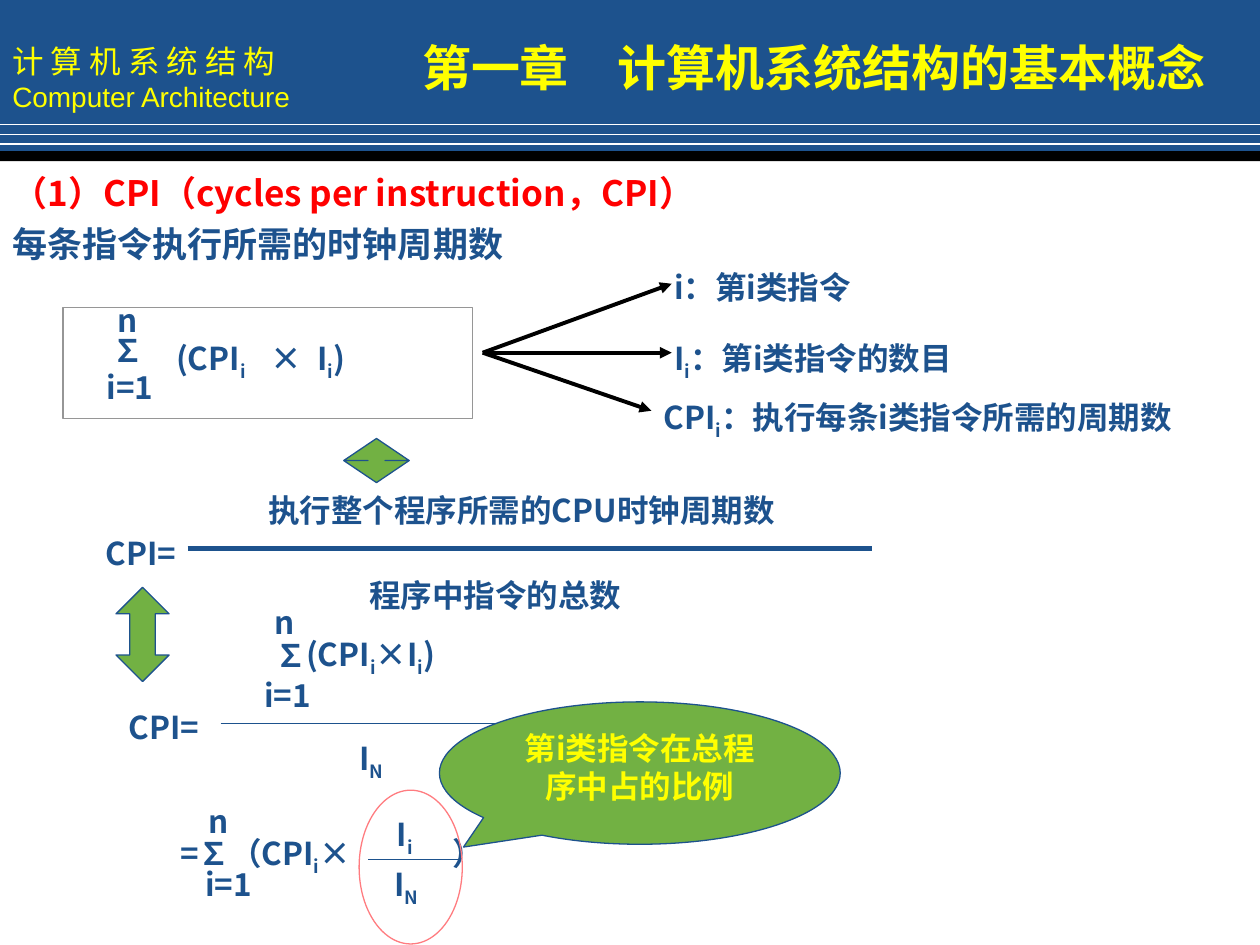
import pptx
import pptx.util
import pptx.dml.color
import pptx.enum.shapes
import pptx.enum.text
import pptx.oxml.ns
import lxml.etree

Cm = pptx.util.Cm
Pt = pptx.util.Pt
Kind = pptx.enum.shapes.MSO_SHAPE
Side = pptx.enum.text.PP_ALIGN
Hold = pptx.enum.text.MSO_ANCHOR

THEME = {
    "blue": "1D528D", "green": "72B143", "yellow": "FFFF00", "red": "FF0000",
    "white": "FFFFFF", "black": "000000", "gray": "969696", "pink": "FF7C80",
    "font": "Noto Sans CJK SC", "latin": "Arial",
    "title": 28, "head": 20, "body": 18, "small": 16,
}

BRAND = ["计 算 机 系 统 结 构", "Computer Architecture"]
TITLE = "第一章　计算机系统结构的基本概念"
HEAD = [("（1）CPI（cycles per instruction，CPI）", "red"),
        ("每条指令执行所需的时钟周期数", "blue")]
NOTE = "第i类指令在总程序中占的比例"

TERMS = [
    ("CPI=", 1.88, 10.64, 4.5),
    ("执行整个程序所需的CPU时钟周期数", 5.16, 9.78, 11.56),
    ("程序中指令的总数", 7.19, 11.48, 6.55),
    ("CPI=", 2.34, 14.15, 2.54),
    ("I_N", 6.99, 14.78, 1.4),
    ("n", 5.28, 12.04, 1),
    ("∑", 5.31, 12.7, 1),
    ("i=1", 5.08, 13.51, 2.34),
    ("(CPI_i×I_i)", 5.92, 12.67, 5.51),
    ("i：第i类指令", 13.34, 5.28, 7.42),
    ("I_i：第i类指令的数目", 13.34, 6.71, 9.09),
    ("CPI_i：执行每条i类指令所需的周期数", 13.13, 7.9, 11.6),
    ("×", 5.21, 6.71, 1.32),
    ("(CPI_i", 3.3, 6.71, 3.1),
    ("I_i)", 6.15, 6.71, 3.05),
    ("n", 2.11, 5.94, 1.07),
    ("∑", 2.01, 6.55, 1),
    ("i=1", 1.9, 7.29, 2.34),
    ("=∑（CPI_i×", 3.38, 16.69, 5),
    ("）", 8.87, 16.69, 1.3),
    ("n", 3.96, 16.05, 1),
    ("i=1", 3.89, 17.32, 1.83),
    ("I_i", 7.75, 16.31, 1.37),
    ("I_N", 7.7, 17.32, 1.83),
]
BARS = [(3.78, 17.58, 11.05, 3), (4.45, 11.43, 14.58, 0.75),
        (7.42, 9.25, 17.32, 0.75)]
FORK = (9.73, 7.11)
TIPS = [(13.54, 7.11), (13.13, 8.28), (13.54, 5.72)]
RULES = [2.51 + 0.2 * n for n in range(3)]
SHAPES = [
    (Kind.UP_DOWN_ARROW, (6.93, 8.84, 1.32, 0.89), "green", "blue", (0.5, 0.26)),
    (Kind.UP_DOWN_ARROW, (2.34, 11.84, 1.07, 1.9), "green", "blue", (0.5, 0.48)),
    (Kind.RECTANGLE, (1.27, 6.2, 8.26, 2.24), None, "gray", ()),
    (Kind.OVAL, (7.24, 15.93, 2.08, 3.1), None, "pink", ()),
]

deck = pptx.Presentation()
deck.slide_width, deck.slide_height = Cm(25.4), Cm(19.05)
page = deck.slides.add_slide(deck.slide_layouts[6])


def tint(name):
    return pptx.dml.color.RGBColor.from_string(THEME[name])


def write(frame, text, fresh=False, size="body", color="blue", face="font",
          bold=True, align=Side.LEFT, gap=0):
    para = frame.add_paragraph() if fresh else frame.paragraphs[0]
    para.alignment, para.space_before = align, Pt(gap)
    frame.word_wrap = True
    first, *rest = text.split("_")
    parts = [(first, False)]
    for bit in rest:
        parts += [(bit[0], True), (bit[1:], False)]
    for words, low in parts:
        if not words:
            continue
        run = para.add_run()
        run.text = words
        font = run.font
        font.name, font.size, font.bold = THEME[face], Pt(THEME[size]), bold
        font.color.rgb = tint(color)
        props = font._element
        east = lxml.etree.SubElement(props, pptx.oxml.ns.qn("a:ea"))
        east.set("typeface", THEME["font"])
        if low:
            props.set("baseline", "-25000")


def box(left, top, width, high=1.02):
    return page.shapes.add_textbox(Cm(left), Cm(top), Cm(width), Cm(high)).text_frame


def shape(kind, place, fill=None, edge=None, tune=()):
    item = page.shapes.add_shape(kind, *map(Cm, place))
    item.shadow.inherit = False
    for n, value in enumerate(tune):
        item.adjustments[n] = value
    if fill:
        item.fill.solid()
        item.fill.fore_color.rgb = tint(fill)
    else:
        item.fill.background()
    if edge:
        item.line.color.rgb = tint(edge)
        item.line.width = Pt(0.75)
    else:
        item.line.fill.background()
    return item


def line(start, end, color, width, tip=False):
    link = page.shapes.add_connector(
        pptx.enum.shapes.MSO_CONNECTOR.STRAIGHT, *map(Cm, start + end))
    link.line.color.rgb = tint(color)
    link.line.width = Pt(width)
    if tip:
        tail = lxml.etree.SubElement(link.line._get_or_add_ln(),
                                     pptx.oxml.ns.qn("a:tailEnd"))
        tail.set("type", "triangle")
    lxml.etree.SubElement(link._element.spPr, pptx.oxml.ns.qn("a:effectLst"))


band = shape(Kind.RECTANGLE, (0, 0, 25.4, 3.12), "blue").text_frame
band.vertical_anchor = Hold.MIDDLE
write(band, BRAND[0], color="yellow", bold=False)
write(band, BRAND[1], fresh=True, color="yellow", bold=False,
      size="small", face="latin")
shape(Kind.RECTANGLE, (0, 3.05, 25.4, 0.2), "black")
for y in RULES:
    line((0, y), (25.4, y), "white", 1)

for left, right, y, width in BARS:
    line((left, y), (right, y), "blue", width)
for text, left, top, width in TERMS:
    write(box(left, top, width), text)
for end in TIPS:
    line(FORK, end, "black", 2.25, tip=True)
for item in SHAPES:
    shape(*item)

note = shape(Kind.OVAL_CALLOUT, (8.86, 14.15, 8.08, 2.87), "green", "blue",
             (-0.44, 0.52)).text_frame
note.vertical_anchor = Hold.TOP
write(note, NOTE, color="yellow", align=Side.CENTER)

write(box(8.26, 0.64, 16.94, 1.45), TITLE, size="title", color="yellow")
lead = box(0, 3.33, 22.33, 2.16)
for n, (text, color) in enumerate(HEAD):
    write(lead, text, fresh=n > 0, size="head", color=color, gap=5)

deck.save("out.pptx")
